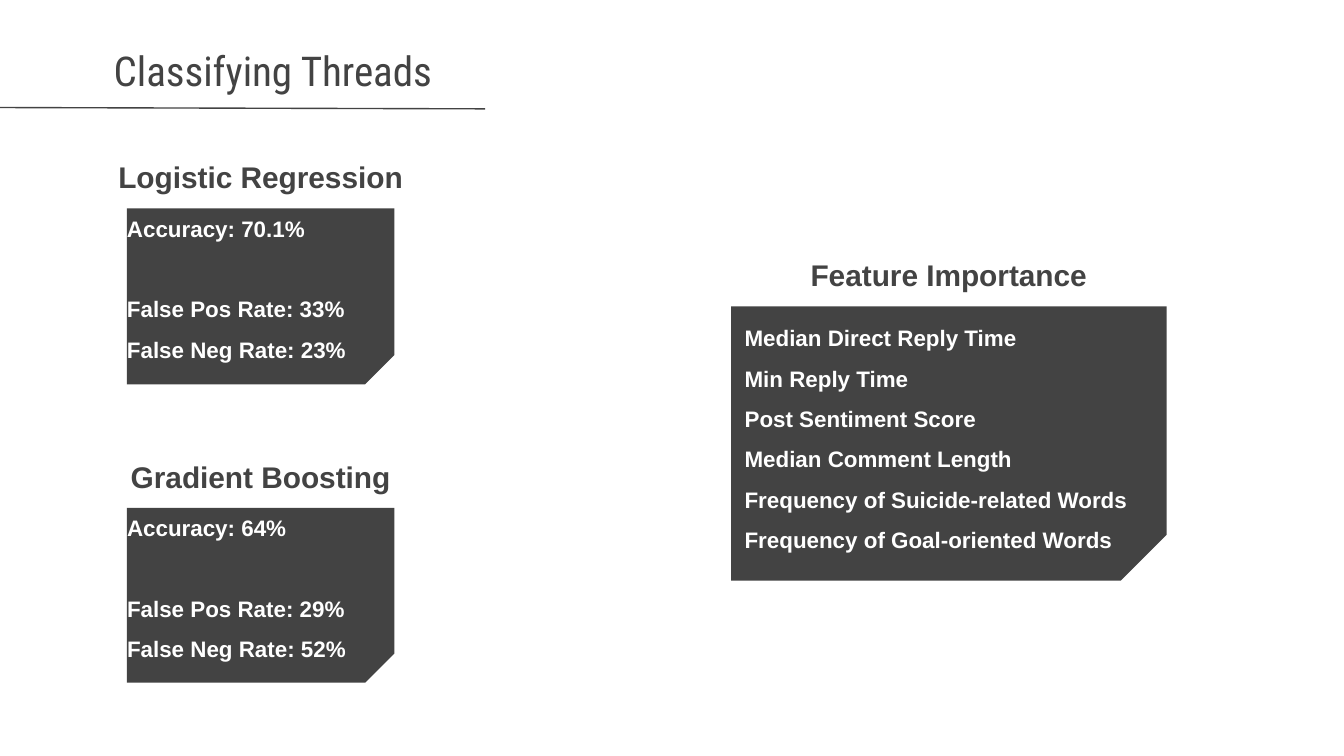
import dataclasses

import pptx
import pptx.dml.color
import pptx.enum.shapes
import pptx.enum.text
import pptx.oxml.ns
import pptx.util
from lxml import etree

Inches = pptx.util.Inches
Pt = pptx.util.Pt
Align = pptx.enum.text.PP_ALIGN
Anchor = pptx.enum.text.MSO_ANCHOR


@dataclasses.dataclass(frozen=True)
class Theme:
    dark: str = "434343"
    light: str = "FFFFFF"
    title_font: str = "Roboto Condensed"
    body_font: str = "Arial"
    title_size: int = 22
    heading_size: int = 16
    body_size: int = 12


THEME = Theme()


def rgb(value):
    return pptx.dml.color.RGBColor.from_string(value)


def style_frame(frame, anchor):
    frame.word_wrap = True
    frame.auto_size = pptx.enum.text.MSO_AUTO_SIZE.NONE
    frame.vertical_anchor = anchor
    frame.margin_left = frame.margin_right = Inches(0.1)
    frame.margin_top = frame.margin_bottom = Inches(0.1)


def style_paragraph(para, size, color, align, name=THEME.body_font, bold=True):
    para.alignment = align
    para.font.name = name
    para.font.size = Pt(size)
    para.font.bold = bold
    para.font.color.rgb = rgb(color)


def add_title(page, text):
    title = page.shapes.title
    title.left, title.top = Inches(-1.12), Inches(0.24)
    title.width, title.height = Inches(6.13), Inches(0.57)
    title.text_frame.text = text
    style_frame(title.text_frame, Anchor.TOP)
    para = title.text_frame.paragraphs[0]
    properties = para._p.get_or_add_pPr()
    properties.set("marL", str(Inches(0.5)))
    properties.set("indent", str(Inches(-0.33)))
    style_paragraph(para, THEME.title_size, THEME.dark, Align.CENTER,
                    THEME.title_font, False)


def add_rule(page):
    rule = page.shapes.add_connector(
        pptx.enum.shapes.MSO_CONNECTOR.STRAIGHT,
        Inches(3.61), Inches(0.81), Inches(-0.01), Inches(0.8))
    rule.line.color.rgb = rgb(THEME.dark)
    rule.line.width = Pt(0.75)
    etree.SubElement(rule._element.spPr, pptx.oxml.ns.qn("a:effectLst"))


def add_heading(page, text, center, bottom):
    width, height = 2.86, 0.42
    box = page.shapes.add_textbox(
        Inches(center - width / 2), Inches(bottom - height),
        Inches(width), Inches(height))
    style_frame(box.text_frame, Anchor.BOTTOM)
    box.text_frame.text = text
    style_paragraph(box.text_frame.paragraphs[0], THEME.heading_size,
                    THEME.dark, Align.CENTER)


def add_panel(page, lines, center, top, width, height, anchor):
    middle = top + height / 2
    panel = page.shapes.add_shape(
        pptx.enum.shapes.MSO_SHAPE.SNIP_1_RECTANGLE,
        Inches(center - height / 2), Inches(middle - width / 2),
        Inches(height), Inches(width))
    panel.rotation = 90
    panel.adjustments[0] = 0.167
    panel.shadow.inherit = False
    panel.fill.solid()
    panel.fill.fore_color.rgb = rgb(THEME.dark)
    panel.line.fill.background()
    frame = panel.text_frame
    style_frame(frame, anchor)
    frame._txBody.bodyPr.set("vert", "vert270")
    frame.text = "\n".join(lines)
    for para in frame.paragraphs:
        para.line_spacing = 1.5
        style_paragraph(para, THEME.body_size, THEME.light, Align.LEFT)
    return panel


def add_model(page, name, top, height, accuracy, false_positive, false_negative):
    center = 1.94
    add_heading(page, name, center, top)
    lines = [f"Accuracy: {accuracy}",
             f"False Pos Rate: {false_positive}",
             f"False Neg Rate: {false_negative}"]
    panel = add_panel(page, lines, center, top, 1.99, height, Anchor.TOP)
    frame = panel.text_frame
    frame.margin_right = frame.margin_bottom = 0
    first, second, _ = frame.paragraphs
    first.line_spacing = 1.0
    second.space_before = Pt(21.6)


def add_features(page):
    center, top = 7.06, 2.28
    add_heading(page, "Feature Importance", center, top)
    features = ["Median Direct Reply Time", "Min Reply Time",
                "Post Sentiment Score", "Median Comment Length",
                "Frequency of Suicide-related Words",
                "Frequency of Goal-oriented Words"]
    add_panel(page, features, center, top, 3.24, 2.04, Anchor.MIDDLE)


def main():
    deck = pptx.Presentation()
    deck.slide_width = Inches(10)
    deck.slide_height = deck.slide_width * 9 // 16
    page = deck.slides.add_slide(deck.slide_layouts[5])
    add_title(page, "Classifying Threads")
    add_rule(page)
    add_model(page, "Logistic Regression", 1.55, 1.31, "70.1%", "33%", "23%")
    add_model(page, "Gradient Boosting", 3.78, 1.3, "64%", "29%", "52%")
    add_features(page)
    deck.save("out.pptx")


if __name__ == "__main__":
    main()
